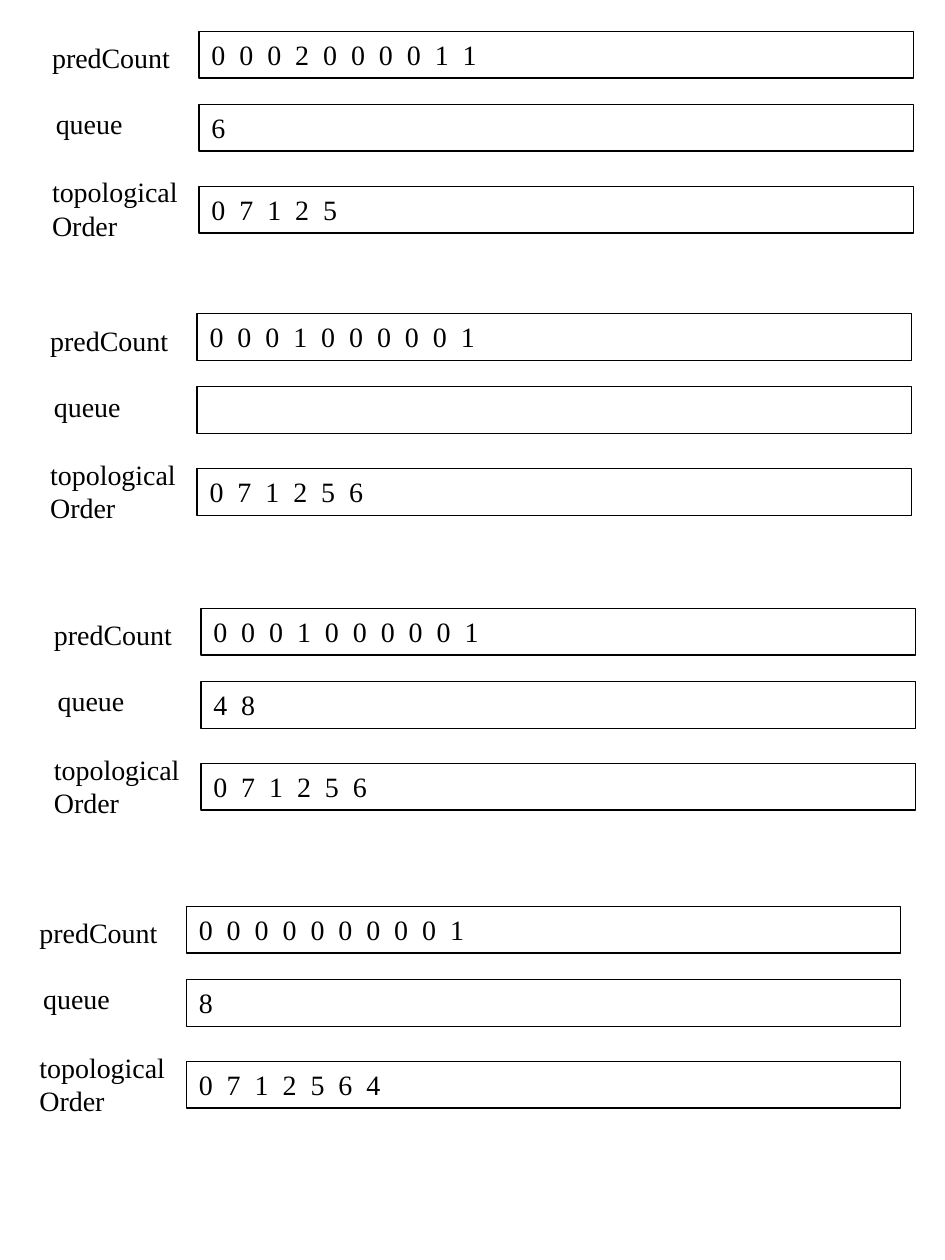
from dataclasses import dataclass

from pptx import Presentation
from pptx import util as u
from pptx.dml.color import RGBColor
from pptx.enum import shapes, text


@dataclass(frozen=True)
class Theme:
    ink: RGBColor = RGBColor(0, 0, 0)
    font: str = "Times New Roman"
    size: u.Pt = u.Pt(16)
    line: u.Pt = u.Pt(0.75)
    digit_spacing: int = 200  # hundredths of a point


THEME = Theme()
COLUMNS, ROWS = 750, 1000
CELL = u.Inches(0.01)
ROW_HEIGHT = 37
VALUE_OFFSET, VALUE_WIDTH = 126.5, 567

# label, label column, label row, label width, label height, value row
FIELDS = [
    ("predCount", 0, 2.5, 125, ROW_HEIGHT, 0),
    ("queue", 3, 55, 83, ROW_HEIGHT, 58),
    ("topologicalOrder", 0, 109, 125, 64, 123),
]

# left column, top row, values of the three fields
STEPS = [
    (31.5, 25, ["0 0 0 2 0 0 0 0 1 1", "6", "0 7 1 2 5"]),
    (30, 249, ["0 0 0 1 0 0 0 0 0 1", "", "0 7 1 2 5 6"]),
    (33, 483, ["0 0 0 1 0 0 0 0 0 1", "4 8", "0 7 1 2 5 6"]),
    (21.5, 719.5, ["0 0 0 0 0 0 0 0 0 1", "8", "0 7 1 2 5 6 4"]),
]


def grid(*cells):
    return [u.Emu(round(cell * CELL)) for cell in cells]


def write(shape, content, spacing=0):
    """Set one left-aligned line; spacing spreads its letters apart."""
    frame = shape.text_frame
    frame.text = content
    frame.word_wrap = True
    frame.vertical_anchor = text.MSO_ANCHOR.TOP
    frame.auto_size = text.MSO_AUTO_SIZE.SHAPE_TO_FIT_TEXT
    paragraph = frame.paragraphs[0]
    paragraph.alignment = text.PP_ALIGN.LEFT
    for run in paragraph.runs:
        run.font.name = THEME.font
        run.font.size = THEME.size
        run.font.color.rgb = THEME.ink
        if spacing:
            run._r.get_or_add_rPr().set("spc", str(spacing))


def add_label(slide, box, content):
    write(slide.shapes.add_textbox(*grid(*box)), content)


def add_value_box(slide, box, digits):
    shape = slide.shapes.add_shape(shapes.MSO_SHAPE.RECTANGLE, *grid(*box))
    shape.shadow.inherit = False
    shape.fill.background()
    shape.line.color.rgb = THEME.ink
    shape.line.width = THEME.line
    if digits:
        write(shape, digits, THEME.digit_spacing)


def add_step(slide, left, top, values):
    """Draw one state of the topological sort."""
    for field, digits in zip(FIELDS, values):
        label, column, row, width, height, value_row = field
        add_label(slide, (left + column, top + row, width, height), label)
        value_box = (left + VALUE_OFFSET, top + value_row, VALUE_WIDTH, ROW_HEIGHT)
        add_value_box(slide, value_box, digits)


def main():
    presentation = Presentation()
    presentation.slide_width, presentation.slide_height = grid(COLUMNS, ROWS)
    slide = presentation.slides.add_slide(presentation.slide_layouts[6])
    for left, top, values in STEPS:
        add_step(slide, left, top, values)
    presentation.save("out.pptx")


if __name__ == "__main__":
    main()
